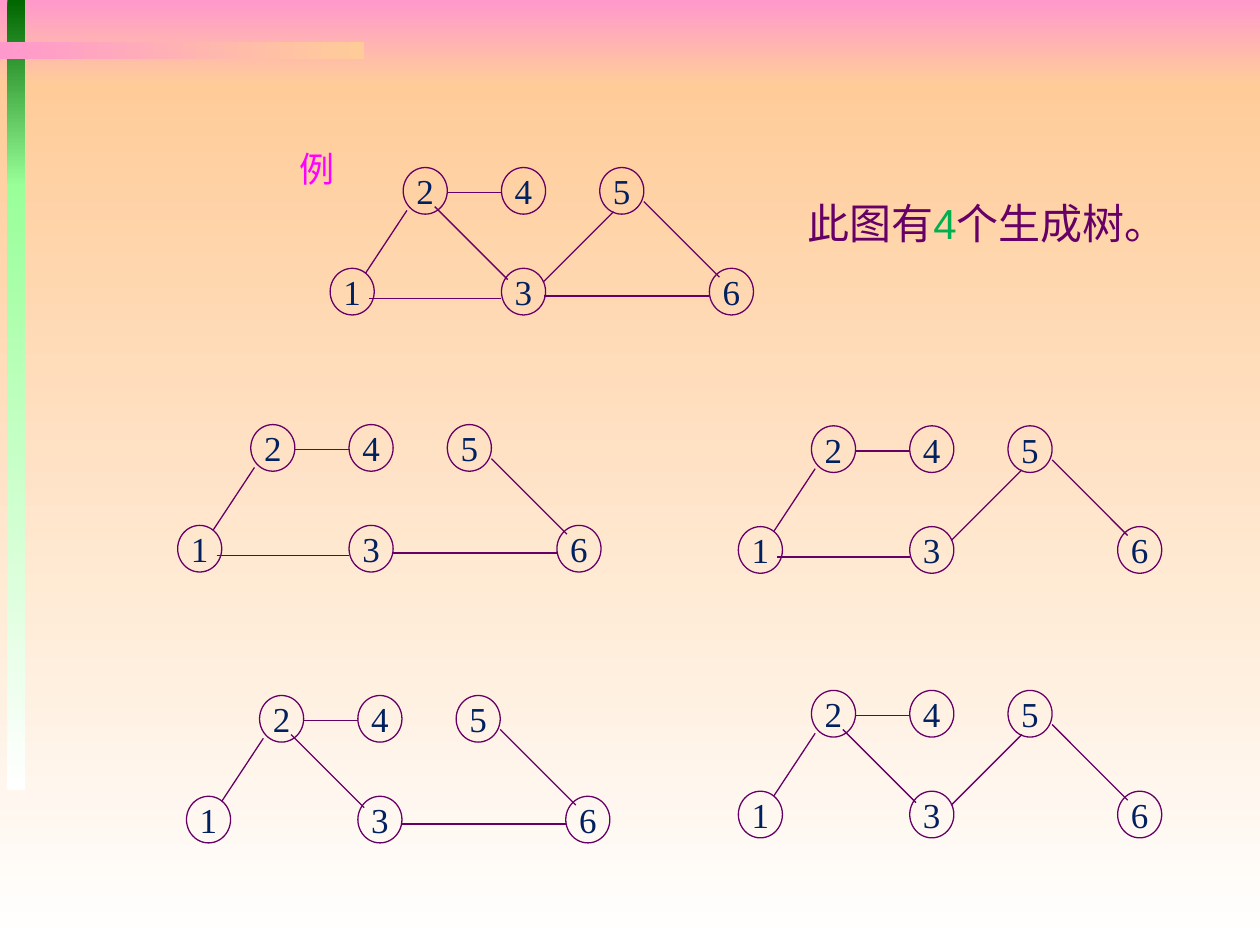
import pptx
import pptx.util
import pptx.dml.color
import pptx.enum.shapes
import pptx.enum.text
from lxml import etree
from dataclasses import dataclass

Inches = pptx.util.Inches
Kind = pptx.enum.shapes.MSO_SHAPE
Align = pptx.enum.text.PP_ALIGN
Anchor = pptx.enum.text.MSO_ANCHOR


@dataclass(frozen=True)
class Theme:
    line: str = "660066"
    node: str = "002060"
    mark: str = "FF00FF"
    count: str = "00B050"
    pink: str = "FF99CC"
    peach: str = "FFCC99"
    dark: str = "006600"
    green: str = "99FF99"
    white: str = "FFFFFF"
    serif: str = "Times New Roman"
    sans: str = "Arial"
    small: int = 20
    large: int = 24
    width: float = 0.75


theme = Theme()

# Node corners and edge ends, measured from the corner of a graph
NODES = {
    "2": (0.58, 0), "4": (1.36, 0), "5": (2.14, 0),
    "1": (0, 0.8), "3": (1.36, 0.8), "6": (3.01, 0.8),
}
EDGES = {
    "24": (0.93, 0.2, 1.36, 0.2),
    "23": (0.83, 0.31, 1.41, 0.89),
    "36": (1.7, 1.02, 3.01, 1.02),
    "35": (1.69, 0.91, 2.25, 0.35),
    "56": (2.49, 0.27, 3.09, 0.87),
    "13": (0.31, 1.04, 1.36, 1.04),
    "12": (0.28, 0.84, 0.61, 0.34),
}
# Corner of each graph and the edges it keeps: the full graph, then its trees
GRAPHS = [
    (2.62, 1.33, list(EDGES)),
    (1.41, 3.37, ["24", "36", "56", "13", "12"]),
    (5.86, 3.38, ["24", "35", "56", "13", "12"]),
    (1.48, 5.52, ["24", "23", "36", "56", "12"]),
    (5.86, 5.48, ["24", "23", "35", "56", "12"]),
]


def color(code):
    return pptx.dml.color.RGBColor.from_string(code)


def style(run, face, size, code):
    run.font.name = face
    run.font.size = pptx.util.Pt(size)
    run.font.color.rgb = color(code)


def band(slide, box, first, last, angle=270):
    bar = slide.shapes.add_shape(Kind.RECTANGLE, *map(Inches, box))
    bar.shadow.inherit = False
    bar.line.fill.background()
    bar.fill.gradient()
    bar.fill.gradient_angle = angle
    for stop, code in zip(bar.fill.gradient_stops, (first, last)):
        stop.color.rgb = color(code)


def backdrop(slide, left, top, width, height):
    # Page shading
    head = 0.67
    band(slide, (left, top, width, head), theme.pink, theme.peach)
    band(slide, (left, top + head, width, height - head), theme.peach, theme.white)
    # Side stripe and cross bar
    band(slide, (left + 0.06, top, 0.14, 1.48), theme.dark, theme.green)
    band(slide, (left + 0.06, top + 1.46, 0.14, 4.81), theme.green, theme.white)
    band(slide, (left, top + 0.33, 2.89, 0.14), theme.pink, theme.peach, 0)


def label(shape, text, code):
    frame = shape.text_frame
    frame.word_wrap = False
    frame.vertical_anchor = Anchor.MIDDLE
    frame.text = text
    para = frame.paragraphs[0]
    para.alignment = Align.CENTER
    style(para.runs[0], theme.serif, theme.small, code)


def stroke(shape):
    shape.line.color.rgb = color(theme.line)
    shape.line.width = pptx.util.Pt(theme.width)


def graph(slide, left, top, edges):
    group = slide.shapes.add_group_shape().shapes
    for name, (x, y) in NODES.items():
        node = group.add_shape(Kind.OVAL, Inches(left + x), Inches(top + y),
                               Inches(0.35), Inches(0.37))
        node.shadow.inherit = False
        node.fill.background()
        stroke(node)
        label(node, name, theme.node)
    for name in edges:
        x, y, right, low = EDGES[name]
        edge = group.add_connector(
            pptx.enum.shapes.MSO_CONNECTOR.STRAIGHT,
            Inches(left + x), Inches(top + y),
            Inches(left + right), Inches(top + low))
        stroke(edge)
        props = edge.element.spPr
        etree.SubElement(props, pptx.oxml.ns.qn("a:effectLst"))


def mark(slide, *box):
    label(slide.shapes.add_textbox(*map(Inches, box)), "例", theme.mark)


def remark(slide, *box):
    frame = slide.shapes.add_textbox(*map(Inches, box)).text_frame
    frame.word_wrap = True
    para = frame.paragraphs[0]
    for text, code in (("此图有", theme.line), ("4", theme.count),
                       ("个生成树。", theme.line)):
        run = para.add_run()
        run.text = text
        style(run, theme.sans, theme.large, code)


def main():
    deck = pptx.Presentation()
    deck.slide_width, deck.slide_height = Inches(10), Inches(7.5)
    slide = deck.slides.add_slide(deck.slide_layouts[6])
    backdrop(slide, 0, 0, 10, 7.5)
    mark(slide, 2.28, 1.12, 0.48, 0.43)
    for left, top, edges in GRAPHS:
        graph(slide, left, top, edges)
    remark(slide, 6.31, 1.52, 3.37, 0.5)
    deck.save("out.pptx")


if __name__ == "__main__":
    main()
